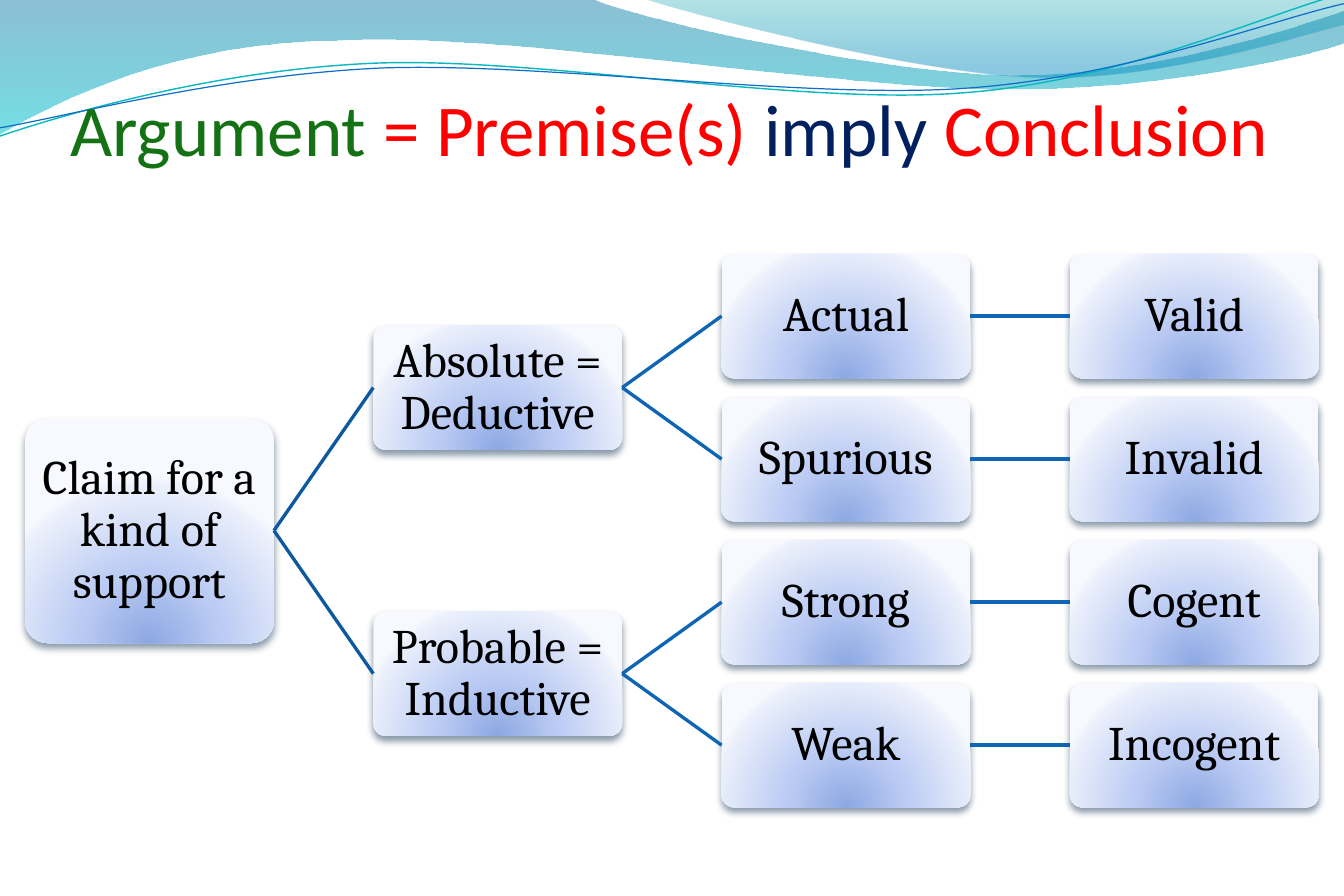
from itertools import chain

from lxml.etree import SubElement
from pptx import Presentation
from pptx.dml.color import RGBColor as RGB
from pptx.enum.shapes import MSO_CONNECTOR, MSO_SHAPE
from pptx.enum.text import MSO_ANCHOR, MSO_AUTO_SIZE, PP_ALIGN
from pptx.oxml import parse_xml
from pptx.oxml.ns import nsdecls, qn
from pptx.util import Pt

GREEN = RGB(0x14, 0x72, 0x14)
RED = RGB(0xFF, 0x00, 0x00)
NAVY = RGB(0x00, 0x20, 0x60)
BLACK = RGB(0x00, 0x00, 0x00)
SHADOW = RGB(0x04, 0x27, 0x47)
ROOT_LINE = RGB(0x0C, 0x59, 0x9F)
BRANCH_LINE = RGB(0x0E, 0x65, 0xB4)
TEAL_LINE = RGB(0x0A, 0xB8, 0xBF)
BLUE_LINE = RGB(0x0F, 0x6F, 0xC6)

# Gradient stops: position, colour, opacity (all in percent)
LEFT_WAVE = [(0, RGB(0x00, 0x74, 0xA1), 45), (100, RGB(0x00, 0xC6, 0xCF), 55)]
RIGHT_WAVE = [(0, RGB(0x00, 0xA1, 0xA9), 30), (80, RGB(0x00, 0x8B, 0xBF), 45)]
BOX = [(0, RGB(0x8D, 0xA8, 0xE3), 100), (43, RGB(0xBB, 0xCB, 0xF3), 100),
       (93, RGB(0xEA, 0xEF, 0xFB), 100), (100, RGB(0xF7, 0xF9, 0xFF), 100)]
DOWNWARD = '<a:lin ang="5400000" scaled="0"/>'
FROM_BELOW = ('<a:path path="circle"><a:fillToRect l="50000" t="130000" '
              'r="50000" b="-30000"/></a:path>')


def write(p, text, *, size, font, color):
    p.alignment = PP_ALIGN.CENTER
    r = p.add_run()
    r.text = text
    r.font.size, r.font.name = Pt(size), font
    r.font.color.rgb = color


def fill_gradient(sp, stops, direction):
    sp.fill.background()
    sp.line.fill.background()
    gs = "".join(f'<a:gs pos="{pos * 1000}"><a:srgbClr val="{color}">'
                 f'<a:alpha val="{alpha * 1000}"/></a:srgbClr></a:gs>'
                 for pos, color, alpha in stops)
    props = sp.element.spPr
    props.replace(props.find(qn("a:noFill")), parse_xml(
        f'<a:gradFill {nsdecls("a")} rotWithShape="1"><a:gsLst>{gs}</a:gsLst>'
        f'{direction}</a:gradFill>'))


prs = Presentation()
prs.slide_width, prs.slide_height = Pt(810), Pt(540)
slide = prs.slides.add_slide(prs.slide_layouts[5])
shapes = slide.shapes

# Waves: start point, then segments of one point (line) or three (curve)
waves = [
    ((0, -0.7), [[(356.4, -0.7)],
                 [(385, 12.2), (537, 45.4), (614, 45.4)],
                 [(691, 45.4), (776, 18.7), (810, 6.5)],
                 [(810.7, 26)],
                 [(796, 31.7), (705, 54.7), (604, 54)],
                 [(504, 54), (309, 20.2), (208, 24.5)],
                 [(104.4, 25.2), (37.4, 59.8), (-0.7, 81.4)]],
     LEFT_WAVE, None),
    ((388, -0.7), [[(412.6, 7.9), (552, 44.6), (623, 46.8)],
                   [(693, 49.7), (779, 23), (810, 15)],
                   [(810, 0)]],
     RIGHT_WAVE, None),
    ((0, 82), [[(38.9, 69), (128, 42.5), (224, 38.2)],
               [(320.4, 33.8), (479.5, 63.4), (577.4, 56.2)],
               [(674.6, 49.7), (760.3, 9.4), (808.6, -3.6)]],
     TEAL_LINE, 0.85),
    ((0, 77), [[(38.2, 70.6), (132.5, 45.4), (229.7, 41)],
               [(326, 37.4), (484, 59.8), (580.3, 53.3)],
               [(677.5, 46.8), (762.5, 13), (810, 2.2)]],
     BLUE_LINE, 0.75),
]
for start, segments, paint, width in waves:
    builder = shapes.build_freeform(Pt(start[0]), Pt(start[1]))
    builder.add_line_segments([(Pt(x), Pt(y)) for x, y in chain(*segments)],
                              close=width is None)
    sp = builder.convert_to_shape()
    sp.shadow.inherit = False
    # Join each group of three points into one Bezier curve
    outline = next(sp.element.iter(qn("a:path")))
    steps = iter(outline.findall(qn("a:lnTo")))
    for segment in segments:
        first, *others = [next(steps) for _ in segment]
        if others:
            first.tag = qn("a:cubicBezTo")
        for step in others:
            first.append(step[0])
            outline.remove(step)
    if width is None:
        fill_gradient(sp, paint, DOWNWARD)
    else:
        sp.fill.background()
        sp.line.color.rgb, sp.line.width = paint, Pt(width)

# Title, brought in front of the waves
title = shapes.title
title.element.getparent().append(title.element)
title.left, title.top, title.width, title.height = Pt(39), Pt(30), Pt(728.8), Pt(90)
tf = title.text_frame
tf.auto_size = MSO_AUTO_SIZE.NONE
tf.vertical_anchor = MSO_ANCHOR.MIDDLE
tf.margin_left = tf.margin_right = tf.margin_bottom = 0
tf.margin_top = Pt(3.6)
for text, color in [("Argument", GREEN), (" = Premise(s) ", RED),
                    ("imply", NAVY), (" Conclusion", RED)]:
    write(tf.paragraphs[0], text, size=44, font="Calibri", color=color)

# Tree: text, column, row, parent
ROOT = "Claim for a kind of support"
tree = [(ROOT, 0, 1.5, None),
        ("Absolute = Deductive", 1, 0.5, ROOT),
        ("Probable = Inductive", 1, 2.5, ROOT),
        ("Actual", 2, 0, "Absolute = Deductive"),
        ("Spurious", 2, 1, "Absolute = Deductive"),
        ("Strong", 2, 2, "Probable = Inductive"),
        ("Weak", 2, 3, "Probable = Inductive"),
        ("Valid", 3, 0, "Actual"),
        ("Invalid", 3, 1, "Spurious"),
        ("Cogent", 3, 2, "Strong"),
        ("Incogent", 3, 3, "Weak")]
boxes = {}
for text, column, row, parent in tree:
    height = 75 if parent else 135.5
    sp = shapes.add_shape(MSO_SHAPE.ROUNDED_RECTANGLE, Pt(15.1 + 209.9 * column),
                          Pt(190.5 + 86.2 * row - height / 2), Pt(150), Pt(height))
    sp.adjustments[0] = 0.1
    fill_gradient(sp, BOX, FROM_BELOW)
    sp.shadow.inherit = False
    sp.element.spPr.find(qn("a:effectLst")).append(parse_xml(
        f'<a:outerShdw {nsdecls("a")} blurRad="{Pt(4.5)}" dist="{Pt(3)}" '
        f'dir="5400000" rotWithShape="0"><a:srgbClr val="{SHADOW}">'
        '<a:alpha val="48000"/></a:srgbClr></a:outerShdw>'))
    tf = sp.text_frame
    tf.word_wrap = True
    tf.vertical_anchor = MSO_ANCHOR.MIDDLE
    tf.margin_left = tf.margin_right = tf.margin_top = tf.margin_bottom = Pt(1.5)
    tf.paragraphs[0].line_spacing = 0.9
    write(tf.paragraphs[0], text, size=29, font="Cambria", color=BLACK)
    boxes[text] = sp

# Branches from each parent to its child
for text, column, row, parent in tree[1:]:
    line = shapes.add_connector(MSO_CONNECTOR.STRAIGHT, 0, 0, 0, 0)
    line.begin_connect(boxes[parent], 3)
    line.end_connect(boxes[text], 1)
    line.line.color.rgb = ROOT_LINE if parent == ROOT else BRANCH_LINE
    line.line.width = Pt(2)
    SubElement(line.element.spPr, qn("a:effectLst"))

prs.save("out.pptx")
